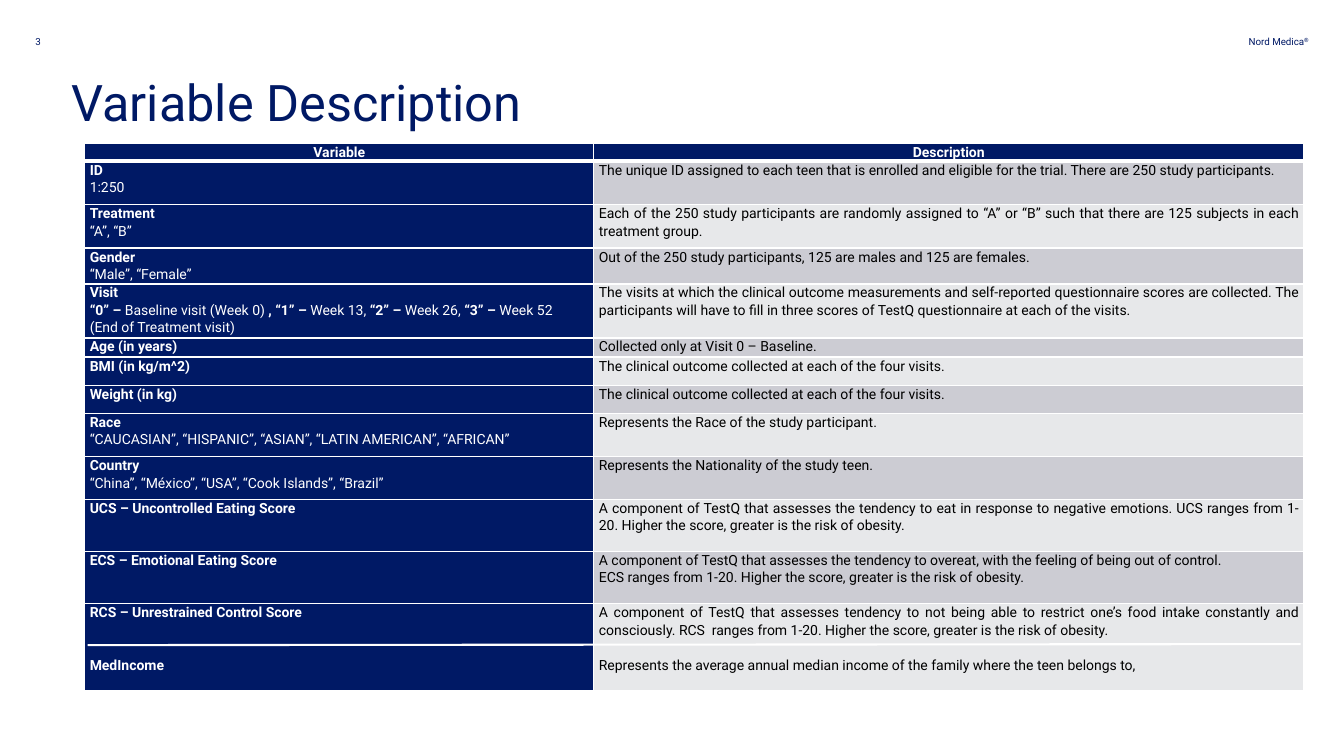
import dataclasses
import typing

import pptx
import pptx.dml.color
import pptx.enum.shapes
import pptx.enum.text
import pptx.oxml
import pptx.oxml.ns
import pptx.util

Inches = pptx.util.Inches
Pt = pptx.util.Pt
Align = pptx.enum.text.PP_ALIGN

NAVY, WHITE, BLACK = "001965", "FFFFFF", "000000"
BANDS = ("E7E8EA", "CCCCD3")
FONT = "Roboto"


@dataclasses.dataclass
class Row:
    height: float
    left: list[str]  # text between asterisks is bold
    right: list[str]
    gaps: tuple[float, float] = (0, 0)  # points before the last paragraph


@dataclasses.dataclass
class Label:
    box: tuple[float, float, float, float]
    text: str
    size: float
    align: typing.Any = Align.LEFT


LABELS = [
    Label((11.98, 0.35, 1, 0.12), "Nord Medica", 7, Align.RIGHT),
    Label((0.71, 0.71, 11.92, 0.71), "Variable Description", 36),
    Label((0.35, 0.35, 0.35, 0.14), "3", 7),
]

VISITS = "The clinical outcome collected at each of the four visits."
ROWS = [
    Row(0.18, ["*Variable*"], ["*Description*"]),
    Row(0.43, ["*ID*", "1:250 "],
        ["The unique ID assigned to each teen that is enrolled and eligible for the trial. "
         "There are 250 study participants."]),
    Row(0.43, ["*Treatment *", "“A”, “B”"],
        ["Each of the 250 study participants are randomly assigned to “A” or “B” such that "
         "there are 125 subjects in each treatment group."]),
    Row(0.35, ["*Gender*", "“Male”, “Female”"],
        ["Out of the 250 study participants, 125 are males and 125 are females."]),
    Row(0.52, ["*Visit*",
               "*“0” – *Baseline visit (Week 0)* , “1” – *Week 13, *“2” – *Week 26, "
               "*“3” – *Week 52 ",
               "(End of Treatment visit)"],
        ["The visits at which the clinical outcome measurements and self-reported "
         "questionnaire scores are collected. The participants will have to fill in three "
         "scores of TestQ questionnaire at each of the visits."]),
    Row(0.19, ["*Age (in years)*"], ["Collected only at Visit 0 – Baseline."]),
    Row(0.28, ["*BMI (in kg/m^2)*"], [VISITS]),
    Row(0.28, ["*Weight (in kg)*"], [VISITS]),
    Row(0.43, ["*Race*", "“CAUCASIAN”, “HISPANIC”, “ASIAN”, “LATIN AMERICAN”, “AFRICAN”"],
        ["Represents the Race of the study participant."]),
    Row(0.42, ["*Country*", "“China”, “México”, “USA”, “Cook Islands”, “Brazil”"],
        ["Represents the Nationality of the study teen."]),
    Row(0.52, ["*UCS – Uncontrolled Eating Score*"],
        ["A component of TestQ that assesses the tendency to eat in response to negative "
         "emotions. UCS ranges from 1-20. Higher the score, greater is the risk of obesity."]),
    Row(0.52, ["*ECS – Emotional Eating Score*"],
        ["A component of TestQ that assesses the tendency to overeat, with the feeling of "
         "being out of control. ",
         "ECS ranges from 1-20. Higher the score, greater is the risk of obesity. "]),
    Row(0.86, ["*RCS – Unrestrained Control Score*", "*MedIncome*"],
        ["A component of TestQ that assesses tendency to not being able to restrict one’s "
         "food intake constantly and consciously. RCS  ranges from 1-20. Higher the score, "
         "greater is the risk of obesity.",
         "Represents the average annual median income of the family where the teen "
         "belongs to,"], (25, 12.5)),
]


def tint(code: str) -> pptx.dml.color.RGBColor:
    return pptx.dml.color.RGBColor.from_string(code)


def add_run(para, text: str, size: float, color: str, bold: bool = False):
    run = para.add_run()
    run.text = text
    for name, value in {"name": FONT, "size": Pt(size), "bold": bold}.items():
        setattr(run.font, name, value)
    run.font.color.rgb = tint(color)
    return run


def set_frame(frame, side: float) -> None:
    form = {"margin_left": Inches(side), "margin_right": Inches(side),
            "margin_top": 0, "margin_bottom": 0, "word_wrap": True}
    for name, value in form.items():
        setattr(frame, name, value)


def draw_label(slide, label: Label):
    frame = slide.shapes.add_textbox(*map(Inches, label.box)).text_frame
    set_frame(frame, 0)
    para = frame.paragraphs[0]
    para.alignment = label.align
    add_run(para, label.text, label.size, NAVY)
    return para


def set_edges(cell, head: bool) -> None:
    props = cell._tc.get_or_add_tcPr()
    space = pptx.oxml.ns.nsdecls("a")
    for side in "LRTB":
        width = Pt(3 if head and side == "B" else 1)
        props.append(pptx.oxml.parse_xml(
            f'<a:ln{side} {space} w="{width}"><a:solidFill>'
            f'<a:srgbClr val="{WHITE}"/></a:solidFill></a:ln{side}>'))


def fill_cell(cell, lines: list[str], color: str, fill: str, gap: float, head: bool) -> None:
    set_edges(cell, head)
    cell.fill.solid()
    cell.fill.fore_color.rgb = tint(fill)
    for side, value in {"left": 0.05, "right": 0.05, "top": 0, "bottom": 0}.items():
        setattr(cell, f"margin_{side}", Inches(value))
    frame = cell.text_frame
    for index, line in enumerate(lines):
        para = frame.add_paragraph() if index else frame.paragraphs[0]
        last = index == len(lines) - 1
        form = {"alignment": Align.CENTER if head else Align.JUSTIFY,
                "line_spacing": 1.07, "space_before": Pt(gap if last else 0)}
        for name, value in form.items():
            setattr(para, name, value)
        for part, text in enumerate(line.split("*")):
            if text:
                add_run(para, text, 10, color, part % 2 == 1)


def draw_table(slide) -> None:
    total = sum(row.height for row in ROWS)
    table = slide.shapes.add_table(len(ROWS), 2, Inches(0.84), Inches(1.42),
                                   Inches(12.09), Inches(total)).table
    for column, width in zip(table.columns, (5.05, 7.04)):
        column.width = Inches(width)
    for index, row in enumerate(ROWS):
        head = index == 0
        table.rows[index].height = Inches(row.height)
        fill_cell(table.cell(index, 0), row.left, WHITE, NAVY, row.gaps[0], head)
        fill_cell(table.cell(index, 1), row.right, WHITE if head else BLACK,
                  NAVY if head else BANDS[index % 2], row.gaps[1], head)


def draw_rule(slide) -> None:
    ends = map(Inches, (0.87, 6.4, 12.9, 6.39))
    rule = slide.shapes.add_connector(pptx.enum.shapes.MSO_CONNECTOR.STRAIGHT, *ends)
    rule.line.color.rgb = tint(WHITE)
    rule.line.width = Pt(1.5)
    rule._element.spPr.append(pptx.oxml.parse_xml(
        f'<a:effectLst {pptx.oxml.ns.nsdecls("a")}/>'))


def main() -> None:
    deck = pptx.Presentation()
    deck.slide_width, deck.slide_height = Inches(13.33), Inches(7.5)
    slide = deck.slides.add_slide(deck.slide_layouts[6])

    # Header labels and title
    brand, *_ = [draw_label(slide, label) for label in LABELS]
    mark = add_run(brand, "®", 7, NAVY)
    mark._r.get_or_add_rPr().set("baseline", "30000")

    # Variable table, with a rule splitting its last row
    draw_table(slide)
    draw_rule(slide)
    deck.save("out.pptx")


if __name__ == "__main__":
    main()
